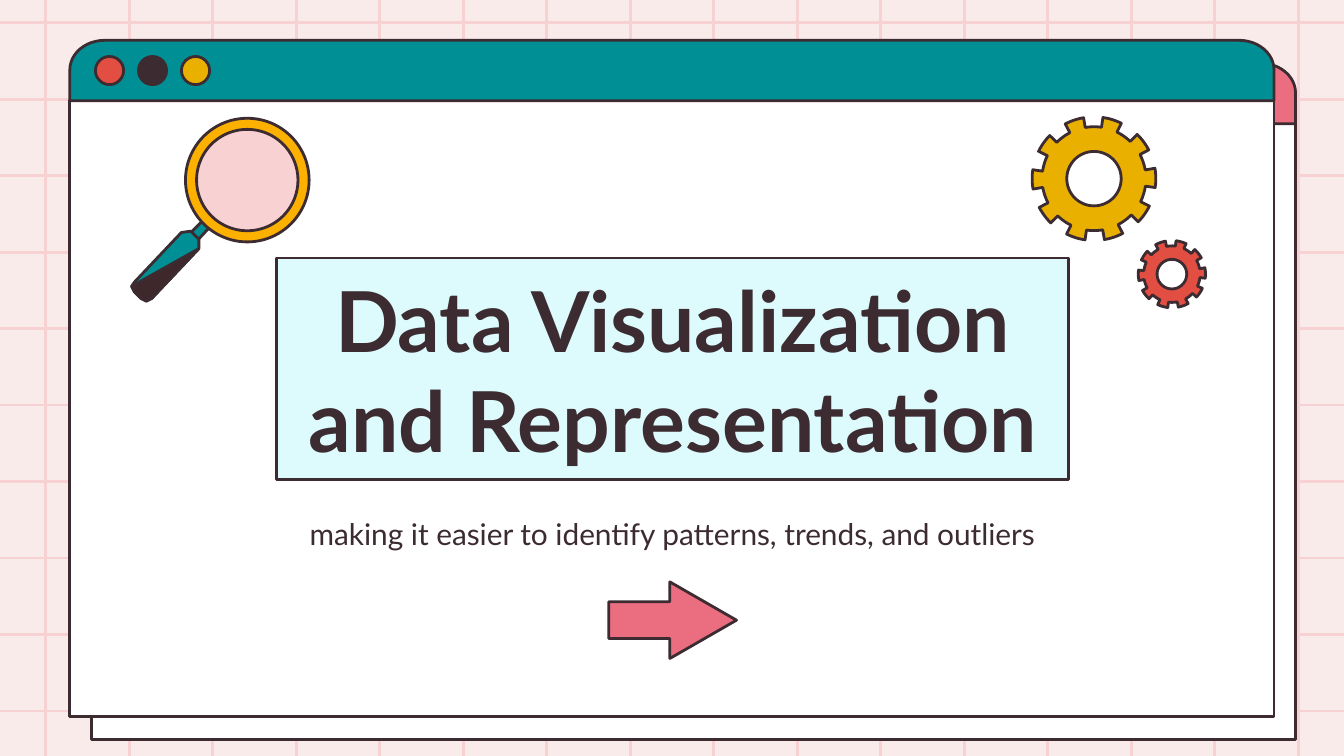
from math import cos, radians, sin

from lxml.etree import SubElement
from pptx import Presentation
from pptx.dml.color import RGBColor
from pptx.enum.shapes import MSO_CONNECTOR, MSO_SHAPE
from pptx.enum.text import MSO_ANCHOR, MSO_AUTO_SIZE, PP_ALIGN
from pptx.oxml.ns import qn
from pptx.util import Inches, Pt

# Content
TITLE = "Data Visualization and Representation"
SUBTITLE = "making it easier to identify patterns, trends, and outliers"

# Theme
THEME = {
    "font": "Lato", "title_size": 45, "subtitle_size": 16, "line_width": 1.5,
    "background": "FAEBEB", "grid": "F8D2D2", "ink": "3C2C31", "white": "FFFFFF",
    "teal": "008F95", "pink": "EB6E80", "red": "E24E42", "yellow": "E9B000",
    "panel": "DDFBFC", "lens": "F8D2D2", "ring": "FCB100", "grip": "3E282C",
}

# Layout, in inches
SLIDE_WIDTH = 10
SLIDE_HEIGHT = SLIDE_WIDTH * 9 / 16
VERTICAL_GRID = (0.34, 9.66, 16)  # first, last, count
HORIZONTAL_GRID = (0.17, 5.29, 10)
WINDOW_WIDTH, BAR_HEIGHT, PANE_HEIGHT = 8.96, 0.45, 4.58
WINDOWS = [(0.68, 0.47, "pink"), (0.52, 0.3, "teal")]  # left, top, bar colour
BUTTONS = ["red", "ink", "yellow"]
TITLE_BOX = (2.06, 1.92, 5.89, 1.65)
SUBTITLE_BOX = (2.06, 3.74, 5.89, 0.49)
GEARS = [(8.14, 1.33, 0.46, -0.7, "yellow"), (8.72, 2.04, 0.25, -2, "red")]
GEAR_TEETH = 10
HANDLE = [  # points and colour, from back to front
    ([(1.44, 1.82), (1.38, 1.77), (1.52, 1.63), (1.57, 1.68)], "teal"),
    ([(0.98, 2.13), (1, 2.17), (1.05, 2.22), (1.09, 2.24), (1.13, 2.22), (1.48, 1.85),
      (1.48, 1.78), (1.42, 1.72), (1.35, 1.73), (1, 2.1)], "teal"),
    ([(0.98, 2.13), (1, 2.17), (1.05, 2.22), (1.09, 2.24), (1.13, 2.22), (1.48, 1.85)], "grip"),
]

presentation = Presentation()
presentation.slide_width = Inches(SLIDE_WIDTH)
presentation.slide_height = Inches(SLIDE_HEIGHT)
slide = presentation.slides.add_slide(presentation.slide_layouts[5])


def color(name):
    return RGBColor.from_string(THEME[name])


def paint(shape, fill):
    shape.shadow.inherit = False
    shape.fill.solid()
    shape.fill.fore_color.rgb = color(fill)
    shape.line.color.rgb = color("ink")
    shape.line.width = Pt(THEME["line_width"])


def add_preset(kind, left, top, width, height, fill, adjustments=()):
    shape = slide.shapes.add_shape(
        kind, Inches(left), Inches(top), Inches(width), Inches(height))
    for index, value in enumerate(adjustments):
        shape.adjustments[index] = value
    paint(shape, fill)


def add_outline(contours, fill):
    contours = [[(Inches(x), Inches(y)) for x, y in contour] for contour in contours]
    builder = slide.shapes.build_freeform(*contours[0][0])
    builder.add_line_segments(contours[0][1:], close=True)
    for contour in contours[1:]:
        builder.move_to(*contour[0])
        builder.add_line_segments(contour[1:], close=True)
    paint(builder.convert_to_shape(), fill)


def arc(x, y, radius_x, radius_y, start, end, steps=6):
    angles = [radians(start + (end - start) * i / steps) for i in range(steps + 1)]
    return [(x + radius_x * cos(angle), y + radius_y * sin(angle)) for angle in angles]


def add_grid_line(x1, y1, x2, y2):
    line = slide.shapes.add_connector(
        MSO_CONNECTOR.STRAIGHT, Inches(x1), Inches(y1), Inches(x2), Inches(y2))
    line.line.color.rgb = color("grid")
    line.line.width = Pt(THEME["line_width"])
    SubElement(line.element.spPr, qn("a:effectLst"))


def spread(first, last, count):
    return [first + (last - first) * i / (count - 1) for i in range(count)]


def write_text(shape, text, size, bold=False, anchor=MSO_ANCHOR.TOP):
    frame = shape.text_frame
    frame.word_wrap = True
    frame.auto_size = MSO_AUTO_SIZE.NONE
    frame.vertical_anchor = anchor
    frame.margin_left = frame.margin_right = Inches(0.1)
    frame.margin_top = frame.margin_bottom = Inches(0.1)
    paragraph = frame.paragraphs[0]
    paragraph.alignment = PP_ALIGN.CENTER
    run = paragraph.add_run()
    run.text = text
    run.font.name = THEME["font"]
    run.font.size = Pt(size)
    run.font.bold = bold
    run.font.color.rgb = color("ink")


def add_window(left, top, bar_color):
    right, bottom = left + WINDOW_WIDTH, top + BAR_HEIGHT
    add_preset(MSO_SHAPE.RECTANGLE, left, bottom, WINDOW_WIDTH, PANE_HEIGHT, "white")
    radius_x, radius_y = 0.26, 0.22
    corners = (arc(left + radius_x, top + radius_y, radius_x, radius_y, 180, 270, 12)
               + arc(right - radius_x, top + radius_y, radius_x, radius_y, 270, 360, 12))
    add_outline([[(left, bottom), *corners, (right, bottom)]], bar_color)
    for index, button in enumerate(BUTTONS):
        add_preset(MSO_SHAPE.OVAL, left + 0.19 + 0.32 * index, top + 0.12, 0.21, 0.21, button)


def add_gear(x, y, radius, turn, fill):
    half_step = 180 / GEAR_TEETH
    root, hole = radius * 0.84, radius * 0.44
    rim = []
    for index in range(2 * GEAR_TEETH):
        reach = root if index % 2 else radius
        middle = turn + index * half_step
        rim += arc(x, y, reach, reach, middle - half_step / 2, middle + half_step / 2)
    add_outline([rim, arc(x, y, hole, hole, 360, 0, 72)], fill)


# Background grid
slide.background.fill.solid()
slide.background.fill.fore_color.rgb = color("background")
for x in spread(*VERTICAL_GRID):
    add_grid_line(x, 0, x, SLIDE_HEIGHT)
for y in spread(*HORIZONTAL_GRID):
    add_grid_line(0, y, SLIDE_WIDTH, y)

# Stacked windows
for window in WINDOWS:
    add_window(*window)

# Title, brought in front of the windows
title = slide.shapes.title
title.left, title.top, title.width, title.height = map(Inches, TITLE_BOX)
paint(title, "panel")
write_text(title, TITLE, THEME["title_size"], bold=True, anchor=MSO_ANCHOR.MIDDLE)
title.element.getparent().append(title.element)

# Subtitle
subtitle = slide.shapes.add_textbox(*map(Inches, SUBTITLE_BOX))
write_text(subtitle, SUBTITLE, THEME["subtitle_size"])

# Gears and arrow
for gear in GEARS:
    add_gear(*gear)
add_preset(MSO_SHAPE.RIGHT_ARROW, 4.53, 4.33, 0.95, 0.57, "pink", (0.48, 0.87))

# Magnifying glass
for points, fill in HANDLE:
    add_outline([points], fill)
add_preset(MSO_SHAPE.OVAL, 1.44, 0.93, 0.82, 0.82, "lens")
add_preset(MSO_SHAPE.DONUT, 1.38, 0.88, 0.92, 0.92, "ring", (0.09,))

presentation.save("out.pptx")
